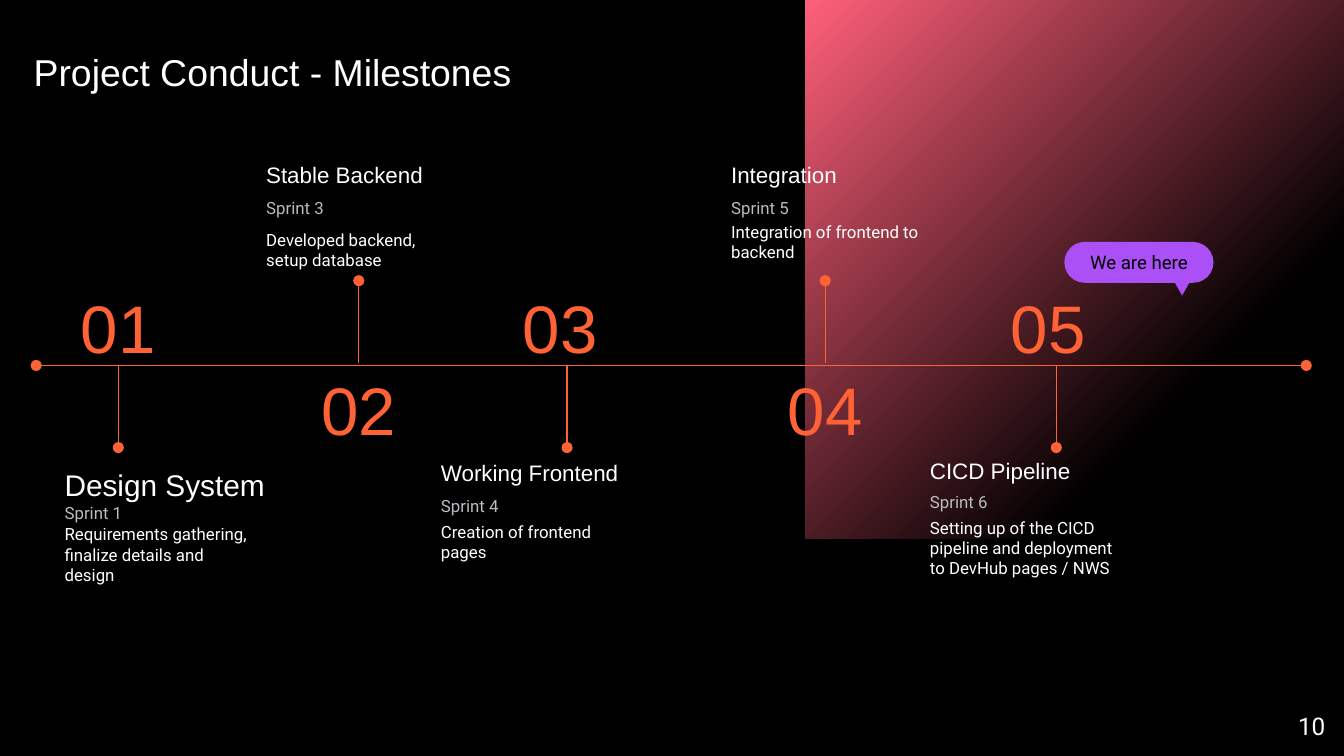
from lxml.etree import SubElement as Sub
from pptx import Presentation
from pptx.dml.color import RGBColor
from pptx.enum.shapes import MSO_CONNECTOR as Link, MSO_SHAPE as Form
from pptx.enum.text import MSO_ANCHOR as Anchor, MSO_AUTO_SIZE as Auto, PP_ALIGN as Align
from pptx.oxml.ns import qn
from pptx.util import Pt

BLACK = RGBColor(0x00, 0x00, 0x00)
WHITE = RGBColor(0xFF, 0xFF, 0xFF)
GREY = RGBColor(0xBA, 0xBC, 0xC2)
ORANGE = RGBColor(0xFF, 0x62, 0x34)
PINK = RGBColor(0xFF, 0x5F, 0x79)
PURPLE = RGBColor(0xAB, 0x4F, 0xF6)

AXIS = 195.8
STEM = 44
# stem x, number centre, text left, tops of head, sprint and body, head size, wording
STEPS = (
    (63.4, 63.4, 34.6, (249.8, 269.3, 280.8), 16, "Design System", "Sprint 1",
     "Requirements gathering, finalize details and design"),
    (192.2, 192.2, 142.6, (86.4, 105.8, 123.1), 12, "Stable Backend", "Sprint 3",
     "Developed backend, setup database"),
    (303.8, 300.2, 236.2, (246.2, 265.7, 279.4), 12, "Working Frontend", "Sprint 4",
     "Creation of frontend pages"),
    (442.1, 442.1, 391.7, (86.4, 105.8, 118.8), 12, "Integration", "Sprint 5",
     "Integration of frontend to backend"),
    (565.9, 561.6, 498.2, (244.8, 263.5, 277.2), 12, "CICD Pipeline", "Sprint 6",
     "Setting up of the CICD pipeline and deployment to DevHub pages / NWS"),
)


def place(shape, x, y, w, h):
    """Move and size a shape."""
    shape.left, shape.top, shape.width, shape.height = map(Pt, (x, y, w, h))


def write(shape, text, size=9, font="Roboto", color=WHITE, align=Align.LEFT,
          anchor=Anchor.TOP, inset=0, space=None):
    """Put formatted text in a shape."""
    frame = shape.text_frame
    frame.word_wrap = True
    frame.auto_size = Auto.NONE
    frame.vertical_anchor = anchor
    frame.margin_left = frame.margin_right = Pt(inset)
    frame.margin_top = frame.margin_bottom = Pt(inset)
    para = frame.paragraphs[0]
    para.alignment = align
    if space:
        para.line_spacing = space
    run = para.add_run()
    run.text = text
    run.font.size, run.font.name = Pt(size), font
    run.font.color.rgb = color


def label(slide, text, x, y, w, h, **form):
    """Add a text box."""
    write(slide.shapes.add_textbox(Pt(x), Pt(y), Pt(w), Pt(h)), text, **form)


def block(slide, form, x, y, w, h, color=None):
    """Add a preset shape without outline or shadow."""
    shape = slide.shapes.add_shape(form, Pt(x), Pt(y), Pt(w), Pt(h))
    shape.shadow.inherit = False
    shape.line.fill.background()
    if color is not None:
        shape.fill.solid()
        shape.fill.fore_color.rgb = color
    return shape


def line(slide, x1, y1, x2, y2, ends=("tailEnd",)):
    """Add an orange line with round ends."""
    link = slide.shapes.add_connector(Link.STRAIGHT, Pt(x1), Pt(y1), Pt(x2), Pt(y2))
    link.line.color.rgb = ORANGE
    link.line.width = Pt(0.75)
    for end in ends:
        Sub(link.line._get_or_add_ln(), qn("a:" + end), type="oval")
    Sub(link._element.spPr, qn("a:effectLst"))


def glow(slide):
    """Add the diagonal pink fade in the corner."""
    shape = block(slide, Form.RECTANGLE, 431.3, 0, 288.7, 288.7)
    shape.fill.gradient()
    shape.fill.gradient_angle = 315
    for stop, place_at, color in zip(shape.fill.gradient_stops, (0, 0.72), (PINK, BLACK)):
        stop.position, stop.color.rgb = place_at, color


def step(slide, rank, stem, mid, left, tops, size, head, sprint, body):
    """Add one milestone, its text below the axis for odd ranks."""
    below = rank % 2
    start = AXIS if below else AXIS - 1.4
    line(slide, stem, start, stem, start + (STEM if below else -STEM))
    label(slide, f"{rank:02}", mid - 56, 152.6 if below else 196.6, 112, STEM, size=36,
          font="Arial", color=ORANGE, align=Align.CENTER, anchor=Anchor.BOTTOM, space=1.15)
    label(slide, head, left, tops[0], 153, 18, size=size, font="Arial")
    label(slide, sprint, left, tops[1], 101.5, 10, color=GREY)
    label(slide, body, left, tops[2], 101.5, 56 if below else 24)


def bubble(slide):
    """Add the speech bubble over the current milestone."""
    pill = block(slide, Form.ROUNDED_RECTANGLE, 570.2, 129.6, 79.9, 21.9, PURPLE)
    pill.adjustments[0] = 0.5
    write(pill, "We are here", size=10, color=BLACK, align=Align.CENTER,
          anchor=Anchor.MIDDLE, inset=7.2)
    tip = block(slide, Form.ISOSCELES_TRIANGLE, 628.6, 150, 9.4, 8.3, PURPLE)
    tip.rotation = 180


def main():
    """Build the milestone slide."""
    deck = Presentation()
    deck.slide_width, deck.slide_height = Pt(720), Pt(405)
    slide = deck.slides.add_slide(deck.slide_layouts[5])
    slide.background.fill.solid()
    slide.background.fill.fore_color.rgb = BLACK
    glow(slide)
    title = slide.shapes.title
    place(title, 18, 23, 364.3, 36.7)
    write(title, "Project Conduct - Milestones", size=20, font="Arial", space=1.15)
    line(slide, 19.4, AXIS, 699.8, AXIS, ("headEnd", "tailEnd"))
    for rank, data in enumerate(STEPS, 1):
        step(slide, rank, *data)
    bubble(slide)
    label(slide, "10", 673.9, 373.7, 43.2, 31, size=13, align=Align.RIGHT, inset=7.2)
    deck.save("out.pptx")


if __name__ == "__main__":
    main()
